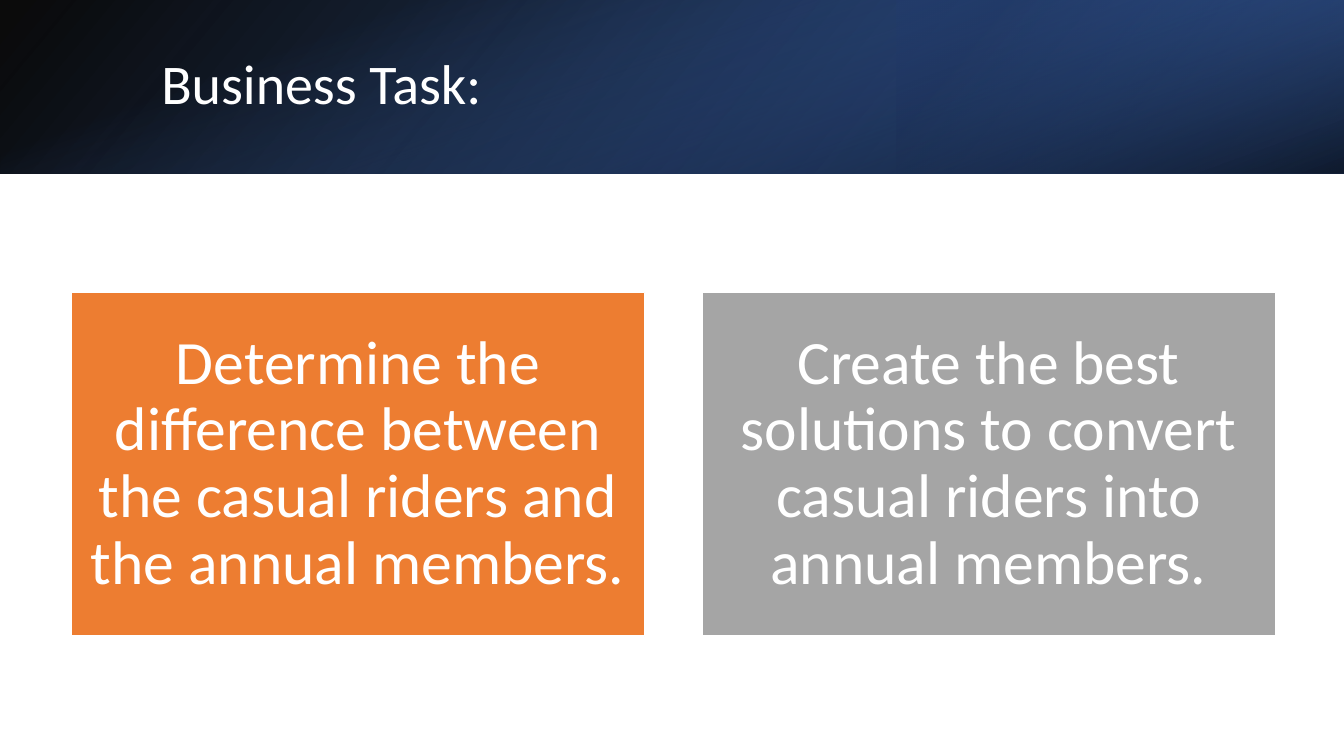
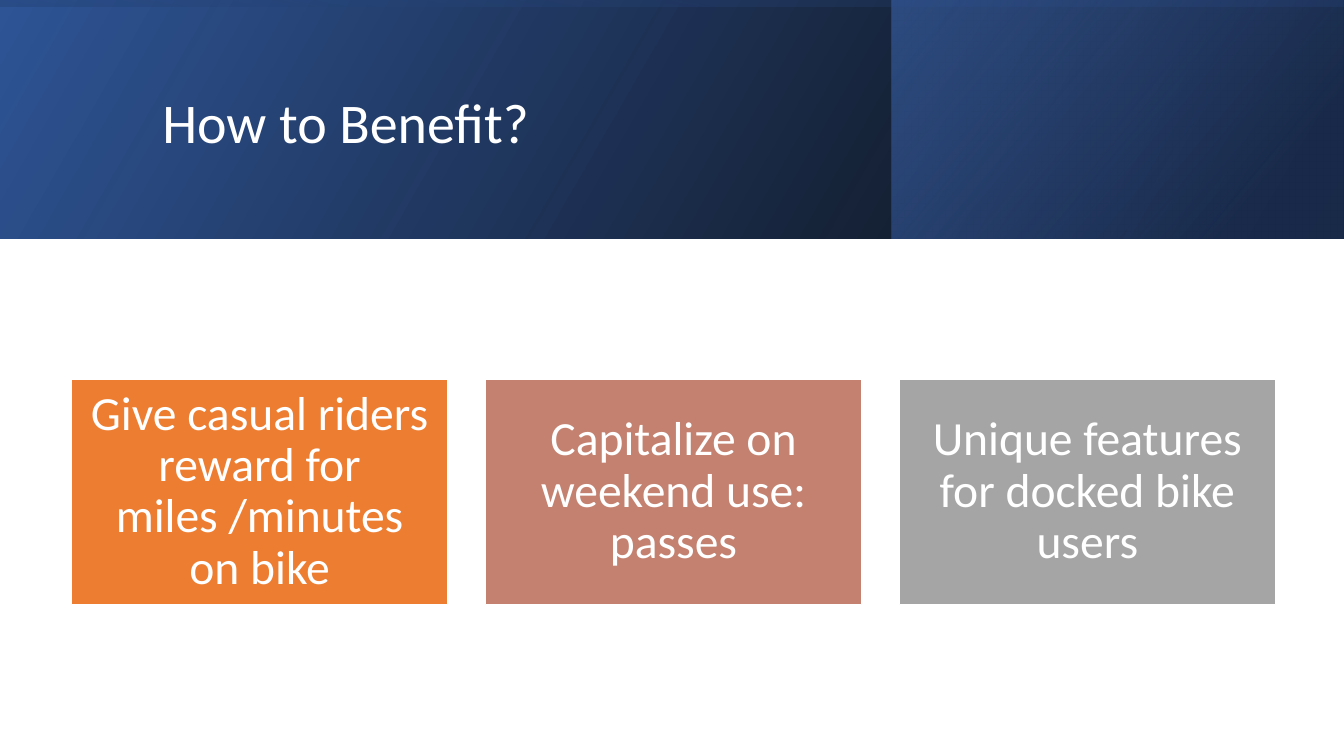
from pptx import Presentation
from pptx.dml.color import RGBColor
from pptx.enum.shapes import MSO_SHAPE
from pptx.enum.text import MSO_ANCHOR, MSO_AUTO_SIZE, PP_ALIGN
from pptx.oxml import parse_xml
from pptx.oxml.ns import nsdecls
from pptx.util import Inches, Pt

RECTANGLE = MSO_SHAPE.RECTANGLE
MIDDLE = MSO_ANCHOR.MIDDLE
NO_AUTOFIT = MSO_AUTO_SIZE.NONE
LEFT, CENTER = PP_ALIGN.LEFT, PP_ALIGN.CENTER

WHITE = RGBColor(0xFF, 0xFF, 0xFF)
BLACK = RGBColor(0x00, 0x00, 0x00)
NAVY = RGBColor(0x20, 0x38, 0x64)
DEEP_BLUE = RGBColor(0x2F, 0x55, 0x97)
BLUE = RGBColor(0x44, 0x72, 0xC4)
ORANGE = RGBColor(0xED, 0x7D, 0x31)
ROSE = RGBColor(0xC4, 0x81, 0x70)
GRAY = RGBColor(0xA5, 0xA5, 0xA5)

SLIDE_WIDTH, SLIDE_HEIGHT = 13.33, 7.5
FONT = "Calibri"
TITLE_SIZE = 40
CARDS_LEFT, CARDS_WIDTH = 0.71, 11.94
CARD_GAP_RATIO, CARD_HEIGHT_RATIO = 0.1, 0.6
BASE_STOPS = [(0, BLACK, 96), (100, DEEP_BLUE, 100)]


class Deck:
    """Holds the shared style and the slide being built."""

    def __init__(self):
        self.presentation = Presentation()
        self.presentation.slide_width = Inches(SLIDE_WIDTH)
        self.presentation.slide_height = Inches(SLIDE_HEIGHT)
        self.slide = None

    def new_slide(self):
        title_only = self.presentation.slide_layouts[5]
        self.slide = self.presentation.slides.add_slide(title_only)

    def set_text(self, frame, text, size, alignment):
        frame.text = text
        frame.word_wrap = True
        frame.auto_size = NO_AUTOFIT
        frame.vertical_anchor = MIDDLE
        paragraph = frame.paragraphs[0]
        paragraph.alignment = alignment
        paragraph.line_spacing = 0.9
        font = paragraph.runs[0].font
        font.name, font.size = FONT, Pt(size)
        font.color.rgb = WHITE

    def rectangle(self, left, top, width, height):
        shape = self.slide.shapes.add_shape(
            RECTANGLE, Inches(left), Inches(top), Inches(width), Inches(height))
        shape.shadow.inherit = False
        return shape

    def band(self, left, width, height, stops, angle, rotation=0, flip=True):
        top = 0
        if rotation % 180:
            left, top = left + (width - height) / 2, (height - width) / 2
            width, height = height, width
        band = self.rectangle(left, top, width, height)
        band.rotation = rotation
        band.line.fill.background()
        stop_xml = "".join(
            f'<a:gs pos="{position * 1000}"><a:srgbClr val="{color}">'
            f'<a:alpha val="{opacity * 1000}"/></a:srgbClr></a:gs>'
            for position, color, opacity in stops)
        gradient = parse_xml(
            f'<a:gradFill {nsdecls("a")} rotWithShape="1"><a:gsLst>{stop_xml}</a:gsLst>'
            f'<a:lin ang="{angle * 60000}" scaled="0"/></a:gradFill>')
        properties = band._element.spPr
        properties.insert(2, gradient)
        if flip:
            properties.xfrm.set("flipH", "1")

    def title(self, text, left, top, width, height):
        title = self.slide.shapes.title
        title.left, title.top = Inches(left), Inches(top)
        title.width, title.height = Inches(width), Inches(height)
        self.set_text(title.text_frame, text, TITLE_SIZE, LEFT)
        self.slide.shapes._spTree.append(title._element)

    def cards(self, top, size, entries):
        count = len(entries)
        width = CARDS_WIDTH / (count + CARD_GAP_RATIO * (count - 1))
        step = width * (1 + CARD_GAP_RATIO)
        for index, (text, color) in enumerate(entries):
            card = self.rectangle(
                CARDS_LEFT + index * step, top, width, width * CARD_HEIGHT_RATIO)
            card.fill.solid()
            card.fill.fore_color.rgb = color
            card.line.color.rgb = WHITE
            card.line.width = Pt(1)
            frame = card.text_frame
            inset = Pt(0.3 * size)
            frame.margin_left = frame.margin_right = inset
            frame.margin_top = frame.margin_bottom = inset
            self.set_text(frame, text, size, CENTER)


def main():
    deck = Deck()

    deck.new_slide()
    deck.band(0, SLIDE_WIDTH, 1.72, BASE_STOPS, 140)
    deck.band(8.89, 4.44, 1.72, [(19, NAVY, 68), (100, BLUE, 79)], 320, rotation=180)
    deck.band(0, SLIDE_WIDTH, 1.72, [(23, BLUE, 0), (99, BLACK, 74)], 340,
              rotation=90, flip=False)
    deck.title("Business Task:", 1.5, 0.38, 10.98, 0.96)
    deck.cards(2.9, 44, [
        ("Determine the difference between the casual riders and the annual members.", ORANGE),
        ("Create the best solutions to convert casual riders into annual members.", GRAY),
    ])

    deck.new_slide()
    deck.band(0, SLIDE_WIDTH, 2.37, BASE_STOPS, 330)
    deck.band(8.84, 4.48, 2.37, [(19, NAVY, 68), (100, BLUE, 48)], 320)
    deck.band(0, SLIDE_WIDTH, 2.37, [(23, DEEP_BLUE, 16), (99, BLACK, 45)], 350,
              rotation=270)
    deck.title("How to Benefit?", 1.51, 0.38, 10.63, 1.72)
    deck.cards(3.76, 34, [
        ("Give casual riders reward for miles /minutes on bike", ORANGE),
        ("Capitalize on weekend use: passes", ROSE),
        ("Unique features for docked bike users", GRAY),
    ])

    deck.presentation.save("out.pptx")


if __name__ == "__main__":
    main()
